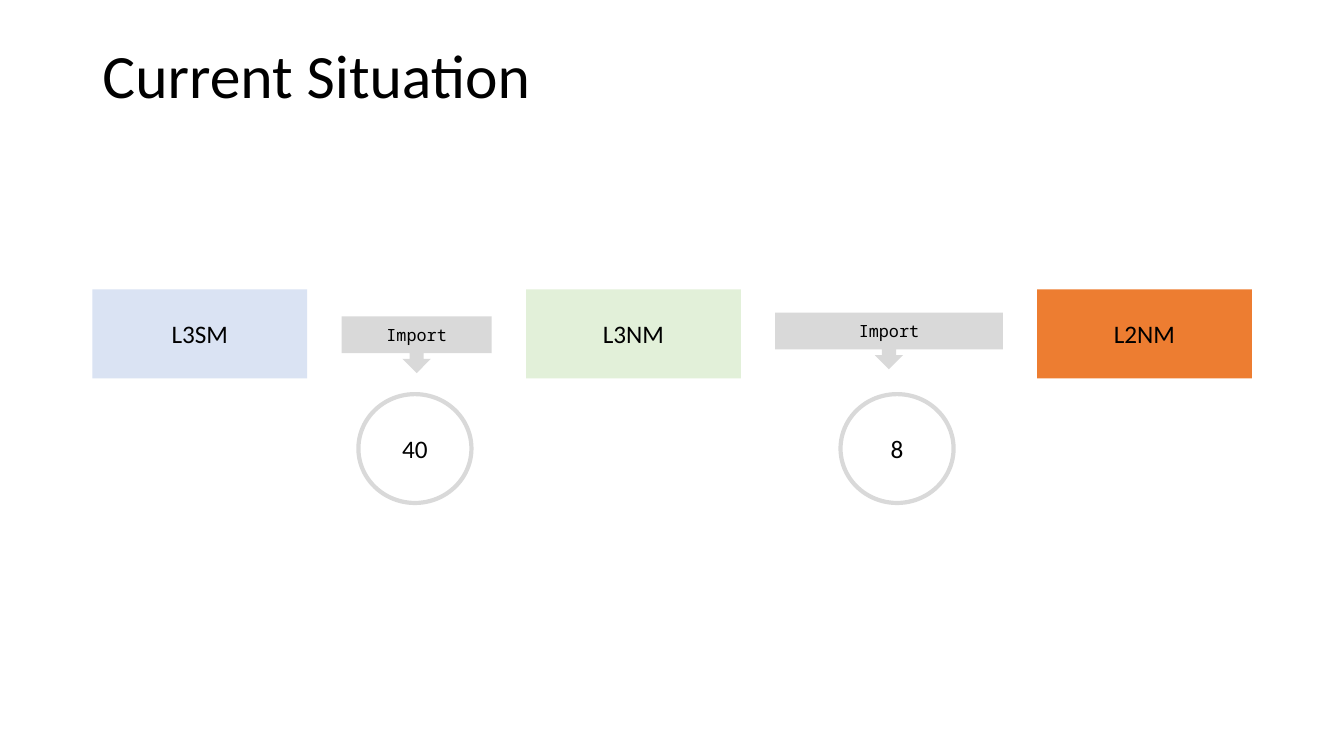
from dataclasses import dataclass

from pptx import Presentation
from pptx.dml.color import RGBColor
from pptx.enum.shapes import MSO_SHAPE
from pptx.enum.text import MSO_ANCHOR, MSO_AUTO_SIZE, PP_ALIGN
from pptx.util import Pt

RECT, CALLOUT, OVAL = MSO_SHAPE.RECTANGLE, MSO_SHAPE.DOWN_ARROW_CALLOUT, MSO_SHAPE.OVAL
TOP, MIDDLE = MSO_ANCHOR.TOP, MSO_ANCHOR.MIDDLE
LEFT, CENTER = PP_ALIGN.LEFT, PP_ALIGN.CENTER
NO_FIT = MSO_AUTO_SIZE.NONE


@dataclass(frozen=True)
class Theme:
    """Colours, fonts and type sizes of the slide."""
    ink: str = "000000"
    paper: str = "FFFFFF"
    service: str = "DAE3F3"
    network: str = "E2F0D9"
    layer2: str = "ED7D31"
    grey: str = "D9D9D9"
    sans: str = "Calibri"
    mono: str = "Noto Sans Mono"
    title_size: float = 44
    label_size: float = 18
    code_size: float = 12


THEME = Theme()


def apply(target, values):
    """Set each attribute named in a dict of format values."""
    for name, value in values.items():
        setattr(target, name, value)


def write(holder, text, size, font, anchor=MIDDLE, align=CENTER, spacing=1.0):
    """Fill a shape with one formatted paragraph."""
    frame = holder.text_frame
    frame.text = text
    apply(frame, {"word_wrap": True, "auto_size": NO_FIT, "vertical_anchor": anchor})
    paragraph = frame.paragraphs[0]
    apply(paragraph, {"alignment": align, "line_spacing": spacing})
    run_font = paragraph.runs[0].font
    apply(run_font, {"name": font, "size": Pt(size)})
    run_font.color.rgb = RGBColor.from_string(THEME.ink)


def add_block(slide, kind, box, text, fill, size=THEME.label_size, font=THEME.sans, outline=None):
    """Draw a filled shape with a centred label."""
    block = slide.shapes.add_shape(kind, *map(Pt, box))
    block.shadow.inherit = False
    block.fill.solid()
    block.fill.fore_color.rgb = RGBColor.from_string(fill)
    if outline:
        block.line.color.rgb = RGBColor.from_string(outline)
        block.line.width = Pt(3)
    else:
        block.line.fill.background()
    write(block, text, size, font)


def add_title(slide, box, text):
    """Place and format the title placeholder."""
    title = slide.shapes.title
    apply(title, dict(zip(("left", "top", "width", "height"), map(Pt, box))))
    write(title, text, THEME.title_size, THEME.sans, TOP, LEFT, 0.9)


def add_import(slide, box, count, count_shift):
    """Draw an import callout with its count circle below, at a shift from its centre."""
    left, top, width, drop = box
    circle_width, circle_height = 80.75, 77.75
    circle_left = left + (width - circle_width) / 2 + count_shift
    add_block(slide, CALLOUT, (left, top, width, 40.5), "Import", THEME.grey,
              THEME.code_size, THEME.mono)
    add_block(slide, OVAL, (circle_left, top + drop, circle_width, circle_height),
              count, THEME.paper, outline=THEME.grey)


def add_model_row(slide, box, models, imports):
    """Lay out models from left to right with an import in each space between them."""
    left, top, model_width, model_height = box
    gap, count_offset = 24.5, 74.75
    for index, (model, fill) in enumerate(models):
        add_block(slide, RECT, (left, top, model_width, model_height), model, fill)
        left += model_width + gap
        if index < len(imports):
            width, offset, count, shift = imports[index]
            add_import(slide, (left, top + offset, width, count_offset - offset), count, shift)
            left += width + gap


def build():
    """Build the slide and save it."""
    deck = Presentation()
    apply(deck, {"slide_width": Pt(960), "slide_height": Pt(540)})
    slide = deck.slides.add_slide(deck.slide_layouts[5])
    add_title(slide, (66, 28.75, 828, 104.5), "Current Situation")
    models = [("L3SM", THEME.service), ("L3NM", THEME.network), ("L2NM", THEME.layer2)]
    imports = [(107.25, 19.25, "40", -1.25), (162.5, 16.5, "8", 5.75)]
    add_model_row(slide, (66, 206.75, 153.5, 63.5), models, imports)
    deck.save("out.pptx")


build()
